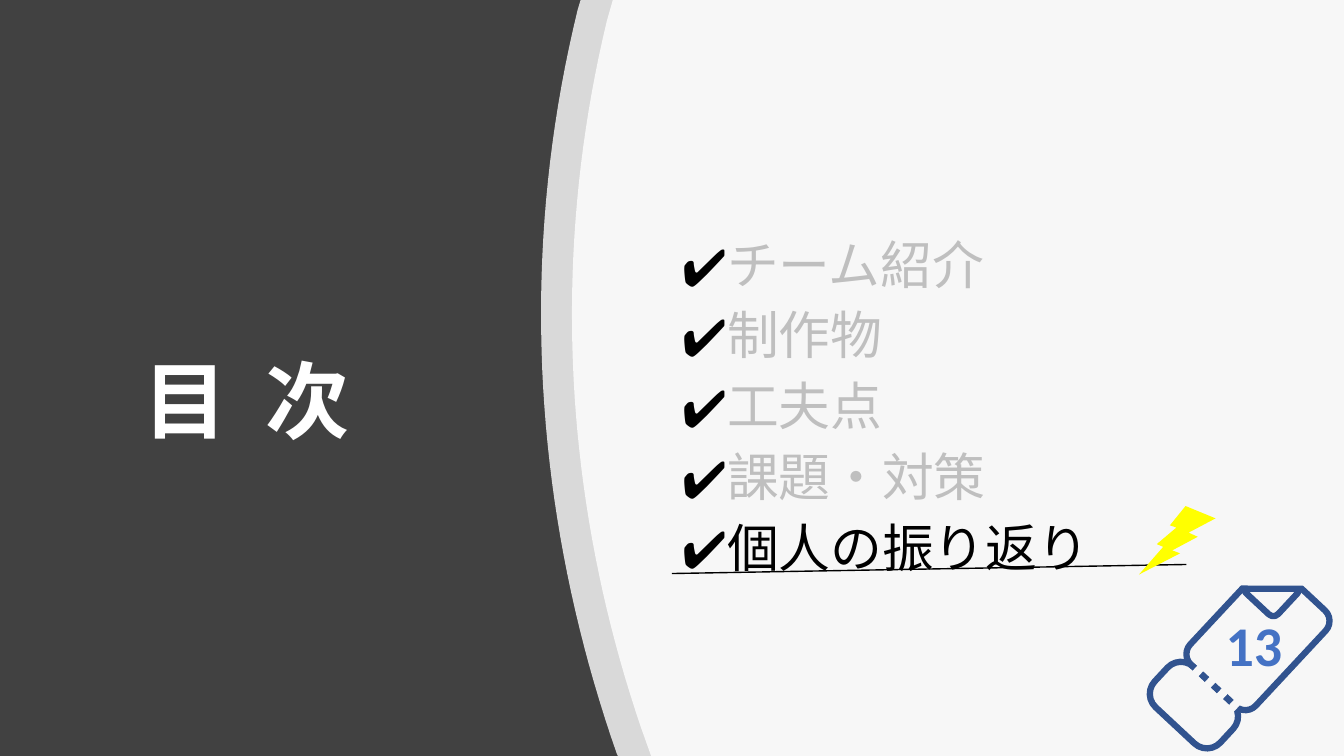
from dataclasses import dataclass

from lxml.etree import SubElement
from pptx import Presentation
from pptx.dml.color import RGBColor
from pptx.enum.shapes import MSO_CONNECTOR as Link, MSO_SHAPE as Form
from pptx.enum.text import MSO_ANCHOR as Anchor, PP_ALIGN as Align
from pptx.oxml.ns import qn
from pptx.util import Emu, Inches, Pt

COLS, ROWS = 160, 90
CELL = Inches(7.5) / ROWS
Point = tuple[float, float]


@dataclass(frozen=True)
class Theme:
    dark: str = "414141"
    white: str = "FFFFFF"
    paper: str = "F7F7F7"
    black: str = "000000"
    muted: str = "BFBFBF"
    edge: str = "31538F"
    number: str = "4472C4"
    bolt: str = "FFFF00"
    latin: str = "Calibri"
    asian: str = "Noto Sans CJK JP"
    title: float = 60
    item: float = 37
    page: float = 40
    pitch: float = 50.5
    stroke: float = 4.5
    rule: float = 1


@dataclass(frozen=True)
class Box:
    x: float
    y: float
    w: float
    h: float

    def emu(self) -> tuple[Emu, ...]:
        return tuple(cells(v) for v in (self.x, self.y, self.w, self.h))


@dataclass(frozen=True)
class Part:
    box: Box
    form: Form
    fill: str | None = None
    line: str | None = None
    turn: float = 0
    round: float | None = None


@dataclass(frozen=True)
class Arc:
    """Panel edge: foot of the slide, a cubic curve upwards, top of the slide."""
    foot: float
    curve: tuple[Point, Point, Point, Point]
    top: float


THEME = Theme()
TURN = 313
TITLE = Box(15.84, 19.56, 30.48, 57.48)
LIST = Box(80, 18.36, 72.24, 58.68)
NUMBER = Box(144.48, 72.12, 9.6, 9.24)
ITEMS = ["チーム紹介", "制作物", "工夫点", "課題・対策", "個人の振り返り"]
ARCS = [
    Arc(73.56, ((73.44, 89.76), (63.6, 61.68), (61.44, 31.2), (68.76, 1.2)), 69.12),
    Arc(77.52, ((76.32, 86.64), (67.2, 59.88), (65.4, 30.96), (72.24, 2.52)), 72.96),
]
OUTLINE = [
    Part(box, Form.ROUNDED_RECTANGLE, line=THEME.edge, turn=TURN, round=bend)
    for box, bend in [
        (Box(138.84, 78.6, 6.6, 10.68), 0.33),
        (Box(141.96, 70.56, 15.6, 10.68), 0.16),
        (Box(148.92, 67.44, 4.92, 5.28), 0.16),
    ]
]
MASK = Part(Box(147.6, 65.88, 8.64, 3.84), Form.RECTANGLE, THEME.paper, turn=0.2)
GAPS = [
    Part(Box(141.6 + 1.5 * i, 79.2 + 1.3 * i, 2.4, 0.96), Form.RECTANGLE, THEME.paper, turn=TURN)
    for i in range(4)
]
BOLT = Part(Box(135.6, 60.24, 9.12, 8.16), Form.LIGHTNING_BOLT, THEME.bolt)


def cells(count: float) -> Emu:
    return Emu(round(count * CELL))


def rgb(code: str) -> RGBColor:
    return RGBColor.from_string(code)


def add_run(para, text: str, size: float, color: str, face: str, bold: bool = False):
    run = para.add_run()
    run.text = text
    font = run.font
    font.size, font.bold, font.name = Pt(size), bold, face
    font.color.rgb = rgb(color)
    SubElement(font._element, qn("a:ea"), typeface=THEME.asian)
    return run


def add_part(tree, part: Part):
    shape = tree.add_shape(part.form, *part.box.emu())
    shape.shadow.inherit = False
    shape.rotation = part.turn
    if part.round is not None:
        shape.adjustments[0] = part.round
    if part.fill:
        shape.fill.solid()
        shape.fill.fore_color.rgb = rgb(part.fill)
    else:
        shape.fill.background()
    if part.line:
        shape.line.color.rgb = rgb(part.line)
        shape.line.width = Pt(THEME.stroke)
    else:
        shape.line.fill.background()
    return shape


def add_line(tree, start: Point, end: Point, color: str, width: float) -> None:
    line = tree.add_connector(Link.STRAIGHT, *(cells(v) for v in start + end))
    line.line.color.rgb = rgb(color)
    line.line.width = Pt(width)
    SubElement(line._element.spPr, qn("a:effectLst"))


def trace(curve: tuple[Point, ...], steps: int = 40) -> list[Point]:
    """Points along a cubic Bezier curve."""
    points = []
    for step in range(steps + 1):
        t = step / steps
        parts = ((1 - t) ** 3, 3 * t * (1 - t) ** 2, 3 * t * t * (1 - t), t ** 3)
        points.append(tuple(sum(k * p[axis] for k, p in zip(parts, curve)) for axis in (0, 1)))
    return points


def add_panel(tree, arc: Arc) -> None:
    pen = tree.build_freeform(cells(COLS), 0)
    points = [(COLS, ROWS), (arc.foot, ROWS), *trace(arc.curve), (arc.top, 0)]
    pen.add_line_segments([(cells(x), cells(y)) for x, y in points], close=True)
    panel = pen.convert_to_shape()
    panel.shadow.inherit = False
    panel.line.fill.background()
    panel.fill.solid()
    panel.fill.fore_color.rgb = rgb(THEME.white)
    tint = panel._element.spPr.find(".//" + qn("a:srgbClr"))
    SubElement(tint, qn("a:alpha"), val="80000")


def set_title(title) -> None:
    title.left, title.top, title.width, title.height = TITLE.emu()
    frame = title.text_frame
    frame.vertical_anchor, frame.word_wrap = Anchor.MIDDLE, True
    para = frame.paragraphs[0]
    para.alignment, para.line_spacing = Align.LEFT, 0.9
    for text in ("目", " ", "次"):
        run = add_run(para, text, THEME.title, THEME.white, THEME.latin, True)
        if text == " ":
            run.font._element.set("spc", "1350")


def add_check(para) -> None:
    props = para._p.get_or_add_pPr()
    props.set("marL", str(Inches(0.25)))
    props.set("indent", str(Inches(-0.26)))
    SubElement(SubElement(props, qn("a:buClr")), qn("a:srgbClr"), val=THEME.black)
    SubElement(props, qn("a:buFont"), typeface=THEME.asian)
    SubElement(props, qn("a:buChar"), char="✔")


def add_list(tree) -> None:
    frame = tree.add_textbox(*LIST.emu()).text_frame
    frame.word_wrap, frame.vertical_anchor = True, Anchor.MIDDLE
    for i, item in enumerate(ITEMS):
        para = frame.add_paragraph() if i else frame.paragraphs[0]
        para.line_spacing = Pt(THEME.pitch)
        add_check(para)
        color = THEME.black if item == ITEMS[-1] else THEME.muted
        add_run(para, item, THEME.item, color, THEME.asian)


def add_ticket(tree) -> None:
    group = tree.add_group_shape().shapes
    for part in OUTLINE:
        add_part(group, part)
    add_line(group, (147.84, 70.08), (155.04, 70.08), THEME.edge, THEME.stroke)
    for part in [MASK, *GAPS]:
        add_part(group, part)
    frame = tree.add_textbox(*NUMBER.emu()).text_frame
    frame.word_wrap = True
    para = frame.paragraphs[0]
    para.alignment = Align.CENTER
    add_run(para, "13", THEME.page, THEME.number, THEME.latin, True)


def main() -> None:
    deck = Presentation()
    deck.slide_width, deck.slide_height = cells(COLS), cells(ROWS)
    slide = deck.slides.add_slide(deck.slide_layouts[5])
    back = slide.background.fill
    back.solid()
    back.fore_color.rgb = rgb(THEME.dark)
    tree = slide.shapes
    set_title(tree.title)
    for arc in ARCS:
        add_panel(tree, arc)
    add_list(tree)
    add_ticket(tree)
    add_line(tree, (80, 68.28), (141.24, 67.2), THEME.black, THEME.rule)
    bolt = add_part(tree, BOLT)
    bolt._element.spPr.xfrm.set("flipH", "1")
    deck.save("out.pptx")


if __name__ == "__main__":
    main()
